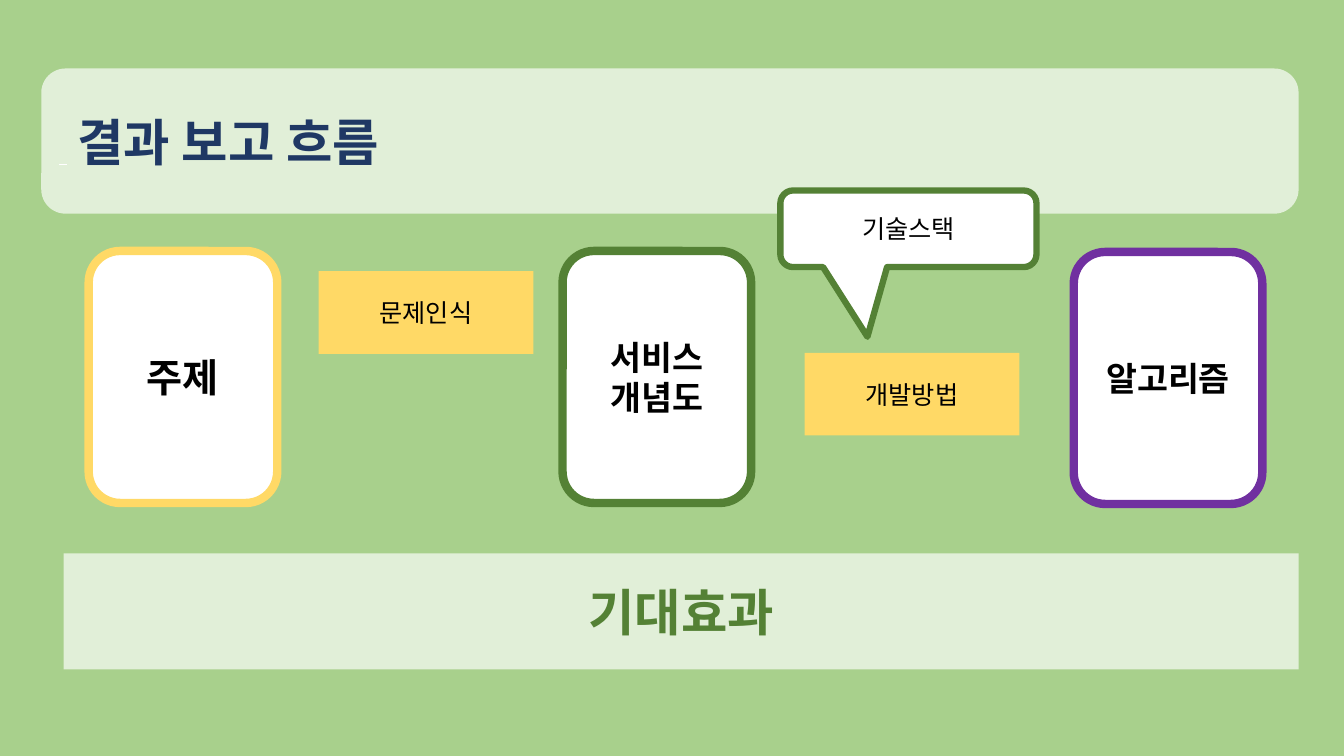
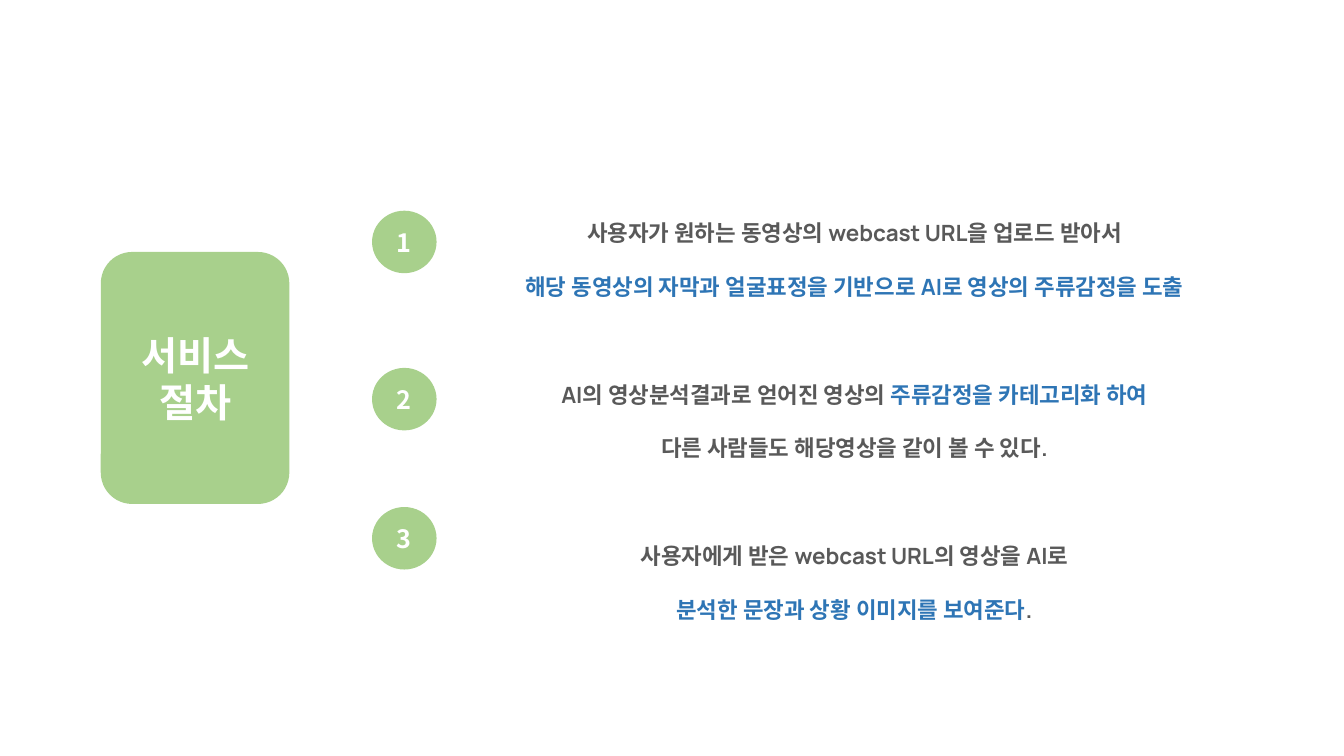
import pptx
import pptx.util
import pptx.dml.color
import pptx.enum.shapes
import pptx.enum.text
import pptx.oxml
from pptx.oxml.ns import qn

Inches, Pt = pptx.util.Inches, pptx.util.Pt
RGB = pptx.dml.color.RGBColor
SHAPE = pptx.enum.shapes.MSO_SHAPE
ALIGN = pptx.enum.text.PP_ALIGN

LIGHT_GREEN = RGB(0xA8, 0xD0, 0x8C)
PALE_GREEN = RGB(0xE1, 0xEF, 0xD8)
DARK_GREEN = RGB(0x54, 0x81, 0x35)
YELLOW = RGB(0xFF, 0xD9, 0x66)
PURPLE = RGB(0x70, 0x30, 0xA0)
NAVY = RGB(0x1F, 0x38, 0x64)
BLUE = RGB(0x2E, 0x75, 0xB5)
GRAY = RGB(0x59, 0x59, 0x59)
BLACK = RGB(0, 0, 0)
WHITE = RGB(0xFF, 0xFF, 0xFF)

KOREAN = "Noto Sans CJK KR"
LATIN = "Manrope"
LINE_HEIGHT = 1.2


def add_run(p, text, size=18, color=BLACK, bold=False, font=KOREAN):
    r = p.add_run()
    r.text = text
    r.font.size = Pt(size)
    r.font.bold = bold
    r.font.color.rgb = color
    r.font.name = font
    ea = pptx.oxml.parse_xml(
        '<a:ea xmlns:a="http://schemas.openxmlformats.org/drawingml/2006/main"'
        f' typeface="{KOREAN}"/>')
    r.font._element.append(ea)


def write_lines(tf, text, size=18, align=ALIGN.CENTER, **fmt):
    """Fill a frame with one paragraph for each line, centred vertically."""
    tf.word_wrap = True
    tf.auto_size = pptx.enum.text.MSO_AUTO_SIZE.NONE
    tf.vertical_anchor = pptx.enum.text.MSO_ANCHOR.MIDDLE
    for i, line in enumerate(text.split("\n")):
        p = tf.add_paragraph() if i else tf.paragraphs[0]
        p.alignment = align
        p.line_spacing = Pt(size * LINE_HEIGHT)
        add_run(p, line, size=size, **fmt)


def add_box(s, kind, box, fill, line=None, line_width=6, text="", **fmt):
    sp = s.shapes.add_shape(kind, *map(Inches, box))
    sp.shadow.inherit = False
    sp.fill.solid()
    sp.fill.fore_color.rgb = fill
    if line is None:
        sp.line.fill.background()
    else:
        sp.line.color.rgb = line
        sp.line.width = Pt(line_width)
    if text:
        write_lines(sp.text_frame, text, **fmt)
    return sp


def add_title_slide(prs, background, panel_box, panel_fill, text, indent=0.1, **fmt):
    """Add a slide whose title stands on a rounded panel."""
    s = prs.slides.add_slide(prs.slide_layouts[5])
    s.background.fill.solid()
    s.background.fill.fore_color.rgb = background
    title = s.shapes.title
    title.left, title.top, title.width, title.height = map(Inches, panel_box)
    title.text_frame.margin_left = Inches(indent)
    write_lines(title.text_frame, text, bold=True, **fmt)
    panel = add_box(s, SHAPE.ROUNDED_RECTANGLE, panel_box, panel_fill)
    title._element.addprevious(panel._element)
    return s


def add_rule(s, x1, x2, y, color, width):
    line = s.shapes.add_connector(pptx.enum.shapes.MSO_CONNECTOR.STRAIGHT,
                                  Inches(x1), Inches(y), Inches(x2), Inches(y))
    line.line.color.rgb = color
    line.line.width = Pt(width)
    line._element.spPr.append(line._element.makeelement(qn("a:effectLst"), {}))


def build_report_flow(prs):
    s = add_title_slide(prs, LIGHT_GREEN, (0.41, 0.68, 12.47, 1.44), PALE_GREEN,
                        "결과 보고 흐름", indent=0.36, size=36, color=NAVY,
                        align=ALIGN.LEFT)
    add_rule(s, 0.59, 0.66, 1.63, WHITE, 0.75)

    for x, y, color, text, size in ((0.88, 2.49, YELLOW, "주제", 28),
                                    (5.58, 2.49, DARK_GREEN, "서비스\n개념도", 24),
                                    (10.65, 2.5, PURPLE, "알고리즘", 24)):
        add_box(s, SHAPE.ROUNDED_RECTANGLE, (x, y, 1.87, 2.5), WHITE,
                line=color, text=text, size=size, bold=True)

    for x, y, text in ((3.16, 2.69, "문제인식"), (7.98, 3.5, "개발방법")):
        add_box(s, SHAPE.RECTANGLE, (x, y, 2.13, 0.82), YELLOW, text=text)

    callout = add_box(s, SHAPE.ROUNDED_RECTANGULAR_CALLOUT, (7.74, 1.89, 2.54, 0.76),
                      WHITE, line=DARK_GREEN, line_width=4.5, text="기술스택")
    callout.adjustments[0] = -0.16
    callout.adjustments[1] = 1.41

    add_box(s, SHAPE.RECTANGLE, (0.63, 5.49, 12.25, 1.15), PALE_GREEN,
            text="기대효과", size=36, color=DARK_GREEN, bold=True)


def add_steps(s, box, steps, pitch=38.4):
    """Write steps as lines of coloured runs, one blank pitch between steps."""
    tf = s.shapes.add_textbox(*map(Inches, box)).text_frame
    tf.word_wrap = True
    p = tf.paragraphs[0]
    for i, step in enumerate(steps):
        for j, line in enumerate(step):
            if i or j:
                p = tf.add_paragraph()
            p.alignment = ALIGN.CENTER
            p.line_spacing = Pt(pitch)
            if i and not j:
                p.space_before = Pt(pitch)
            for text, color in line:
                add_run(p, text, size=16, color=color, bold=True, font=LATIN)


def build_service_steps(prs):
    s = add_title_slide(prs, WHITE, (1, 2.5, 1.87, 2.5), LIGHT_GREEN,
                        "서비스\n절차", size=28, color=WHITE)
    add_steps(s, (4.01, 1.86, 8.93, 4.33), (
        ([("사용자가 원하는 동영상의 webcast URL을 업로드 받아서", GRAY)],
         [("해당 동영상의 자막과 얼굴표정을 기반으로 AI로 영상의 주류감정을 도출", BLUE)]),
        ([("AI의 영상분석결과로 얻어진 영상의 ", GRAY),
          ("주류감정을 카테고리화 하여", BLUE)],
         [("다른 사람들도 해당영상을 같이 볼 수 있다.", GRAY)]),
        ([("사용자에게 받은 webcast URL의 영상을 AI로", GRAY)],
         [("분석한 문장과 상황 이미지를 보여준다", BLUE), (".", GRAY)]),
    ))
    for number, y in enumerate((2.09, 3.65, 5.03), 1):
        add_box(s, SHAPE.OVAL, (3.69, y, 0.64, 0.62), LIGHT_GREEN,
                text=str(number), color=WHITE, bold=True)


def main():
    prs = pptx.Presentation()
    prs.slide_width, prs.slide_height = Inches(13.33), Inches(7.5)
    build_report_flow(prs)
    build_service_steps(prs)
    prs.save("out.pptx")


if __name__ == "__main__":
    main()
